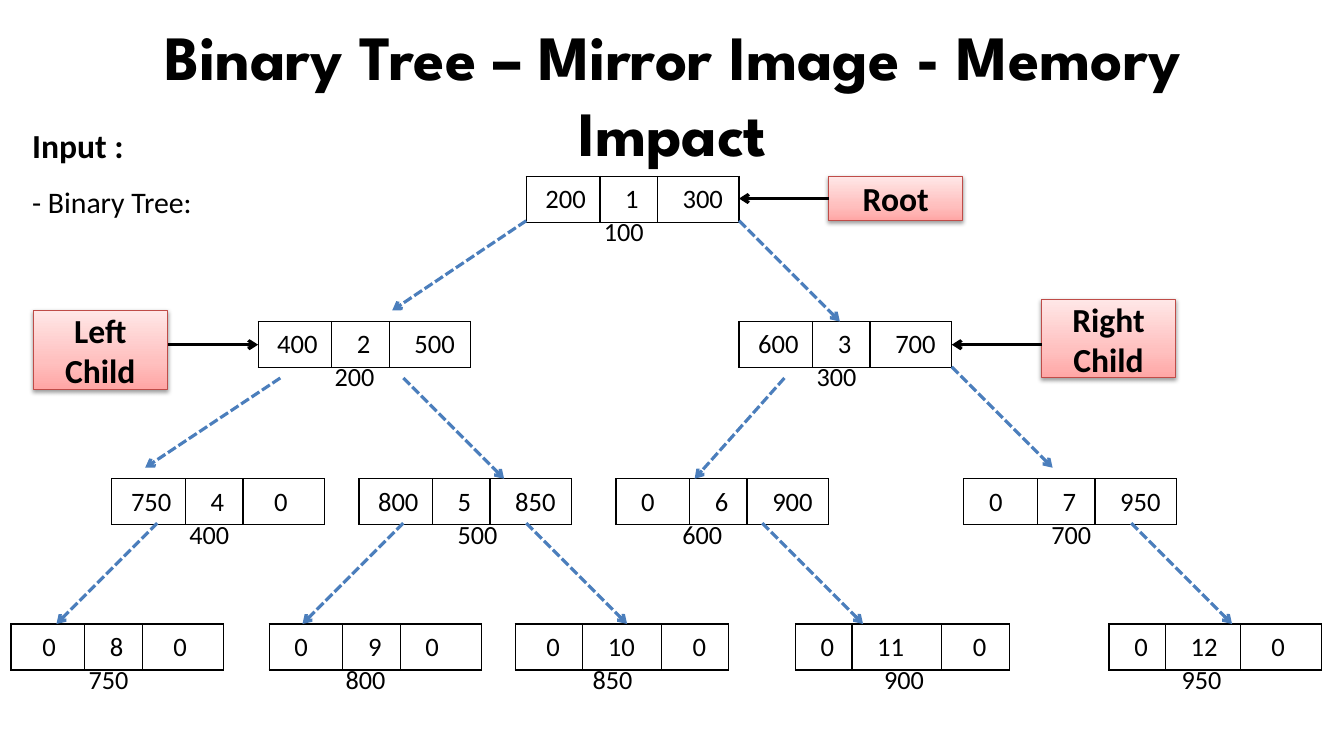
from dataclasses import dataclass

from lxml import etree
from pptx import Presentation
from pptx.dml.color import RGBColor
from pptx.enum.dml import MSO_LINE
from pptx.enum.shapes import MSO_CONNECTOR, MSO_SHAPE
from pptx.enum.text import MSO_ANCHOR, MSO_AUTO_SIZE, PP_ALIGN
from pptx.oxml import parse_xml
from pptx.oxml.ns import nsdecls, qn
from pptx.util import Inches, Pt

CENTER = PP_ALIGN.CENTER
MIDDLE = MSO_ANCHOR.MIDDLE
STRAIGHT = MSO_CONNECTOR.STRAIGHT
RECTANGLE = MSO_SHAPE.RECTANGLE
SYSTEM_DASH = MSO_LINE.SQUARE_DOT
LEFT_SIDE = 1


@dataclass(frozen=True)
class Theme:
    title_font: str = "League Spartan"
    body_font: str = "Calibri"
    black: str = "000000"
    edge: str = "4B7EBC"
    tag_line: str = "BF4C48"
    tag_stops: tuple = ((0, "FFA6A5"), (35, "FFC0BF"), (100, "FFE7E7"))
    title_size: float = 45
    heading_size: float = 24
    note_size: float = 21.3
    cell_size: float = 19
    address_size: float = 18.7
    arrow_width: float = 2.25
    tag_width: float = 0.75
    border_width: float = 1


THEME = Theme()

NODE_WIDTH, NODE_HEIGHT = 2.11, 0.44
LEVEL_TOPS = (1.75, 3.19, 4.75, 6.19)
CELL_INSET, INDENT_STEP = 0.13, 0.06
ADDRESS_DROP = 0.34
USUAL_COLUMNS = (0.73, 0.57, 0.81)

# level, left, (left link, value, right link), indent steps, column widths, address, address left
NODES = (
    (0, 5.22, ("200", "1", "300"), (1, 2, 2), USUAL_COLUMNS, "100", 5.89),
    (1, 2.56, ("400", "2", "500"), (1, 2, 2), USUAL_COLUMNS, "200", 3.22),
    (1, 7.33, ("600", "3", "700"), (1, 2, 2), USUAL_COLUMNS, "300", 8),
    (2, 1.11, ("750", "4", "0"), (1, 2, 3), USUAL_COLUMNS, "400", 1.78),
    (2, 3.56, ("800", "5", "850"), (1, 2, 2), USUAL_COLUMNS, "500", 4.44),
    (2, 6.11, ("0", "6", "900"), (2, 2, 2), USUAL_COLUMNS, "600", 6.67),
    (2, 9.56, ("0", "7", "950"), (2, 2, 2), USUAL_COLUMNS, "700", 10.33),
    (3, 0.11, ("0", "8", "0"), (3, 2, 3), USUAL_COLUMNS, "750", 0.78),
    (3, 2.67, ("0", "9", "0"), (2, 2, 2), USUAL_COLUMNS, "800", 3.33),
    (3, 5.11, ("0", "10", "0"), (3, 2, 3), (0.67, 0.78, 0.67), "850", 5.78),
    (3, 7.89, ("0", "11", "0"), (2, 2, 3), (0.56, 0.89, 0.67), "900", 8.67),
    (3, 11, ("0", "12", "0"), (2, 2, 3), (0.56, 0.74, 0.81), "950", 11.62),
)

# start x, start y, end x, end y
EDGES = (
    (5.22, 2.19, 3.89, 3.08), (7.33, 2.19, 8.33, 3.19),
    (2.78, 3.75, 1.44, 4.64), (4, 3.75, 5, 4.75),
    (7.78, 3.75, 6.89, 4.75), (9.44, 3.64, 10.44, 4.64),
    (1.56, 5.19, 0.56, 6.19), (4, 5.19, 3, 6.19),
    (5.22, 5.19, 6.22, 6.19), (7.56, 5.19, 8.56, 6.19),
    (11.22, 5.19, 12.22, 6.19),
)


def add_span(para, text, size, bold=False, font=THEME.body_font):
    span = para.add_run()
    span.text = text
    span.font.name = font
    span.font.size = Pt(size)
    span.font.bold = bold
    span.font.color.rgb = RGBColor.from_string(THEME.black)


def set_title(page, text):
    title = page.shapes.title
    title.left, title.top = Inches(0.67), Inches(0.3)
    title.width, title.height = Inches(12), Inches(1.25)
    frame = title.text_frame
    frame.auto_size = MSO_AUTO_SIZE.NONE
    frame.vertical_anchor = MIDDLE
    para = frame.paragraphs[0]
    para.alignment = CENTER
    add_span(para, text, THEME.title_size, True, THEME.title_font)


def add_label(page, text, left, top, width, height, size, bold=False):
    box = page.shapes.add_textbox(Inches(left), Inches(top), Inches(width), Inches(height))
    frame = box.text_frame
    frame.word_wrap = True
    frame.auto_size = MSO_AUTO_SIZE.SHAPE_TO_FIT_TEXT
    add_span(frame.paragraphs[0], text, size, bold)


def add_borders(cell):
    properties = cell._tc.get_or_add_tcPr()
    for position, side in enumerate(("lnL", "lnR", "lnT", "lnB")):
        border = parse_xml(
            f'<a:{side} {nsdecls("a")} w="{Pt(THEME.border_width)}"><a:solidFill>'
            f'<a:srgbClr val="{THEME.black}"/></a:solidFill></a:{side}>')
        properties.insert(position, border)


def add_node(page, level, left, texts, indents, widths, address, address_left):
    """Draw a node as its three memory fields, with its address below."""
    top = LEVEL_TOPS[level]
    table = page.shapes.add_table(1, len(texts), Inches(left), Inches(top),
                                  Inches(NODE_WIDTH), Inches(NODE_HEIGHT)).table
    table.first_row = table.horz_banding = False
    for column, width in zip(table.columns, widths):
        column.width = Inches(width)
    for cell, text, indent in zip(table.rows[0].cells, texts, indents):
        cell.fill.background()
        cell.margin_left = Inches(CELL_INSET + indent * INDENT_STEP)
        cell.margin_right = Inches(0)
        cell.margin_top = cell.margin_bottom = Inches(0.07)
        add_borders(cell)
        add_span(cell.text_frame.paragraphs[0], text, THEME.cell_size)
    add_label(page, address, address_left, top + ADDRESS_DROP, 0.78, 0.42, THEME.address_size)


def add_arrow(page, start_x, start_y, end_x, end_y, color, dash=None):
    arrow = page.shapes.add_connector(STRAIGHT, Inches(start_x), Inches(start_y),
                                      Inches(end_x), Inches(end_y))
    arrow.line.color.rgb = RGBColor.from_string(color)
    arrow.line.width = Pt(THEME.arrow_width)
    if dash:
        arrow.line.dash_style = dash
    etree.SubElement(arrow.line._get_or_add_ln(), qn("a:tailEnd"), type="arrow")
    etree.SubElement(arrow._element.spPr, qn("a:effectLst"))
    return arrow


def add_tag(page, lines, left, top, height):
    """Draw a shaded box that names a part of the tree."""
    tag = page.shapes.add_shape(RECTANGLE, Inches(left), Inches(top),
                                Inches(1.33), Inches(height))
    tag.line.color.rgb = RGBColor.from_string(THEME.tag_line)
    tag.line.width = Pt(THEME.tag_width)
    stops = "".join(f'<a:gs pos="{position * 1000}"><a:srgbClr val="{color}"/></a:gs>'
                    for position, color in THEME.tag_stops)
    properties = tag._element.spPr
    properties.find(qn("a:prstGeom")).addnext(parse_xml(
        f'<a:gradFill {nsdecls("a")} rotWithShape="1"><a:gsLst>{stops}</a:gsLst>'
        '<a:lin ang="16200000" scaled="0"/></a:gradFill>'))
    tag.shadow.inherit = False
    properties.find(qn("a:effectLst")).append(parse_xml(
        f'<a:outerShdw {nsdecls("a")} blurRad="{Pt(3.1)}" dist="{Pt(1.6)}" dir="5400000" '
        f'rotWithShape="0"><a:srgbClr val="{THEME.black}"><a:alpha val="38000"/>'
        '</a:srgbClr></a:outerShdw>'))
    frame = tag.text_frame
    frame.word_wrap = True
    frame.vertical_anchor = MIDDLE
    for index, line in enumerate(lines):
        para = frame.add_paragraph() if index else frame.paragraphs[0]
        para.alignment = CENTER
        add_span(para, line, THEME.heading_size, True)
    return tag


def main():
    deck = Presentation()
    deck.slide_width, deck.slide_height = Inches(13.33), Inches(7.5)
    page = deck.slides.add_slide(deck.slide_layouts[5])
    set_title(page, "Binary Tree – Mirror Image - Memory Impact")
    for node in NODES:
        add_node(page, *node)
    for edge in EDGES:
        add_arrow(page, *edge, THEME.edge, SYSTEM_DASH)
    add_label(page, "Input :", 0.22, 1.19, 2.11, 0.5, THEME.heading_size, True)
    add_label(page, "- Binary Tree:", 0.22, 1.77, 2.11, 0.46, THEME.note_size)
    root_tag = add_tag(page, ("Root",), 8.22, 1.75, 0.44)
    add_tag(page, ("Left", "Child"), 0.33, 3.08, 0.78)
    add_tag(page, ("Right", "Child"), 10.33, 2.97, 0.78)
    root_arrow = add_arrow(page, 8.22, 1.97, 7.33, 1.97, THEME.black)
    root_arrow.begin_connect(root_tag, LEFT_SIDE)
    add_arrow(page, 1.67, 3.42, 2.56, 3.42, THEME.black)
    add_arrow(page, 10.33, 3.42, 9.44, 3.42, THEME.black)
    deck.save("out.pptx")


if __name__ == "__main__":
    main()
